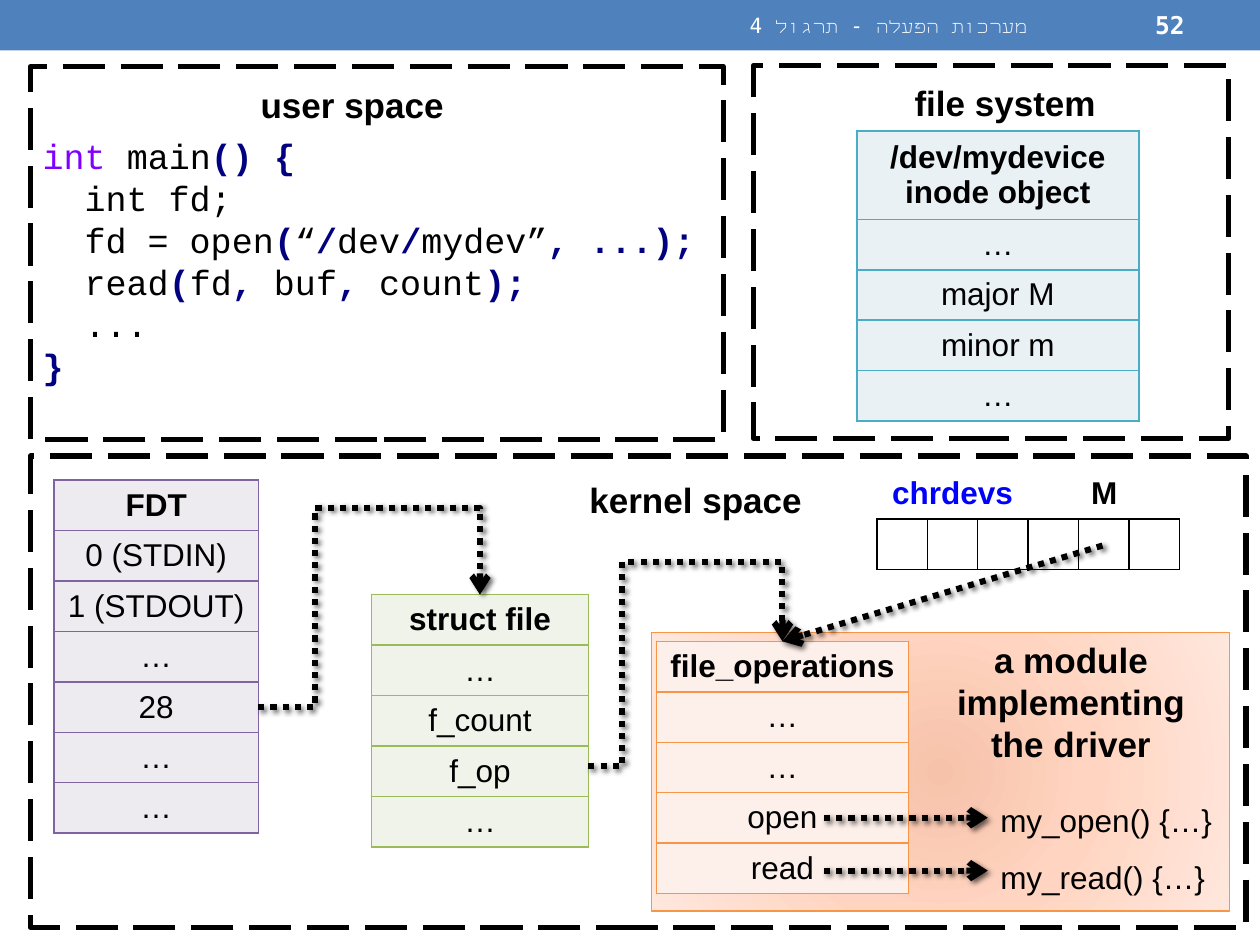
from dataclasses import dataclass

from lxml import etree
from pptx import Presentation, util as u
from pptx.dml.color import RGBColor
from pptx.enum import dml, shapes, text
from pptx.oxml import parse_xml
from pptx.oxml.ns import nsdecls, qn


@dataclass(frozen=True)
class Theme:
    sans: str = "Arial"
    code: str = "Courier New"
    header: str = "DejaVu Sans Mono"
    black: str = "000000"
    white: str = "FFFFFF"
    blue: str = "0000FF"
    bar: str = "4F81BD"
    keyword: str = "8000FF"
    symbol: str = "000080"
    # (border, fill) of each table
    purple: tuple = ("8064A2", "EDEAF0")
    green: tuple = ("9BBB59", "EFF3EA")
    orange: tuple = ("F79646", "FDEFE9")
    aqua: tuple = ("4BACC6", "E9F1F5")
    glow: tuple = ((0, "F6C2AA"), (45, "FFD4C0"), (100, "FFE7DD"))
    title: int = 20
    body: int = 18
    number: int = 14
    small: int = 12


THEME = Theme()
COLUMNS, ROWS = 100, 75
ROW = 4  # height of a table row in grid rows
LEFT, CENTER, RIGHT = text.PP_ALIGN.LEFT, text.PP_ALIGN.CENTER, text.PP_ALIGN.RIGHT
MIDDLE, TOP = text.MSO_ANCHOR.MIDDLE, text.MSO_ANCHOR.TOP


class Board:
    """Draws on one slide; lengths are columns and rows of the grid."""

    def __init__(self, deck, theme):
        self.theme = theme
        self.page = deck.slides.add_slide(deck.slide_layouts[6])
        self.column = deck.slide_width / COLUMNS
        self.row = deck.slide_height / ROWS

    def place(self, *lengths):
        units = (self.column, self.row) * 2
        return [u.Emu(round(n * unit)) for n, unit in zip(lengths, units)]

    def span(self, para, words, size=None, color=None, bold=False, font=None):
        span = para.add_run()
        span.text = words
        span.font.size = u.Pt(size or self.theme.body)
        span.font.bold = bold
        span.font.name = font or self.theme.sans
        span.font.color.rgb = RGBColor.from_string(color or self.theme.black)
        return span

    def rect(self, *area, fill=None, line=None, width=1, dash=None):
        box = self.page.shapes.add_shape(shapes.MSO_SHAPE.RECTANGLE, *self.place(*area))
        box.shadow.inherit = False
        if fill:
            box.fill.solid()
            box.fill.fore_color.rgb = RGBColor.from_string(fill)
        else:
            box.fill.background()
        if line:
            box.line.color.rgb = RGBColor.from_string(line)
            box.line.width = u.Pt(width)
            box.line.dash_style = dash
        else:
            box.line.fill.background()
        return box

    def region(self, *area):
        self.rect(*area, line=self.theme.black, width=3, dash=dml.MSO_LINE.LONG_DASH)

    def glow_panel(self, *area):
        box = self.rect(*area, line=self.theme.orange[0], width=0.75)
        stops = "".join(f'<a:gs pos="{at * 1000}"><a:srgbClr val="{color}"/></a:gs>'
                        for at, color in self.theme.glow)
        gradient = parse_xml(
            f'<a:gradFill {nsdecls("a")} rotWithShape="1"><a:gsLst>{stops}</a:gsLst>'
            '<a:path path="circle"><a:fillToRect l="100000" t="100000" r="100000" b="100000"/>'
            '</a:path></a:gradFill>')
        props = box.fill._xPr
        props.replace(props.find(qn("a:noFill")), gradient)

    def text(self, area, lines, align=LEFT, anchor=TOP, wrap=True, spacing=None, **style):
        """Each line is a string or a list of (words, style) pairs."""
        box = self.page.shapes.add_textbox(*self.place(*area))
        frame = box.text_frame
        frame.word_wrap = wrap
        frame.vertical_anchor = anchor
        for index, line in enumerate(lines):
            para = frame.add_paragraph() if index else frame.paragraphs[0]
            para.alignment = align
            para.line_spacing = spacing
            for words, extra in [(line, {})] if isinstance(line, str) else line:
                self.span(para, words, **{**style, **extra})
        return box

    def title(self, area, words, **options):
        self.text(area, [words], size=self.theme.title, bold=True, **options)

    def header(self, area, words, **style):
        box = self.text(area, [words], RIGHT, MIDDLE, color=self.theme.white,
                        font=self.theme.header, **style)
        para = box.text_frame.paragraphs[0]
        para._p.get_or_add_pPr().set("rtl", "1")
        props = para.runs[0].font._element
        etree.SubElement(props, qn("a:cs")).set("typeface", self.theme.header)

    def borders(self, cell, color, sides="LRTB"):
        props = cell._tc.get_or_add_tcPr()
        for index, side in enumerate("LRTB"):
            paint = (f'<a:solidFill><a:srgbClr val="{color}"/></a:solidFill>'
                     if side in sides else "<a:noFill/>")
            props.insert(index, parse_xml(
                f'<a:ln{side} {nsdecls("a")} w="12700">{paint}</a:ln{side}>'))

    def grid(self, left, top, widths, heights):
        frame = self.page.shapes.add_table(
            len(heights), len(widths), *self.place(left, top, sum(widths), sum(heights)))
        table = frame.table
        table.first_row = table.horz_banding = False
        for column, width in zip(table.columns, widths):
            column.width = u.Emu(round(width * self.column))
        for row, height in zip(table.rows, heights):
            row.height = u.Emu(round(height * self.row))
        return frame

    def cell_text(self, cell, words, **style):
        cell.vertical_anchor = MIDDLE
        for index, line in enumerate(words.split("\n")):
            frame = cell.text_frame
            para = frame.add_paragraph() if index else frame.paragraphs[0]
            para.alignment = CENTER
            self.span(para, line, **style)

    def record(self, left, top, width, palette, entries, head=ROW):
        """One-column table whose first entry is its bold heading."""
        heights = [head] + [ROW] * (len(entries) - 1)
        frame = self.grid(left, top, [width], heights)
        for index, words in enumerate(entries):
            cell = frame.table.cell(index, 0)
            cell.fill.solid()
            cell.fill.fore_color.rgb = RGBColor.from_string(palette[1])
            self.borders(cell, palette[0])
            self.cell_text(cell, words, bold=index == 0)
        return frame

    def array(self, left, top, count, labels):
        """Row of empty boxes under labels given as {column: (words, columns, color)}."""
        frame = self.grid(left, top, [ROW] * count, [ROW] * 2)
        table = frame.table
        for column in range(count):
            for row, sides in enumerate(("B", "LRTB")):
                table.cell(row, column).fill.background()
                self.borders(table.cell(row, column), self.theme.black, sides)
        for column, (words, columns, color) in labels.items():
            cell = table.cell(0, column)
            if columns > 1:
                cell.merge(table.cell(0, column + columns - 1))
            self.cell_text(cell, words, bold=True, color=color)

    def arrow(self, start, end, target=None, bend=None):
        """Dotted arrow; bend is the (column, row) of its first upper corner."""
        kind = shapes.MSO_CONNECTOR.ELBOW if bend else shapes.MSO_CONNECTOR.STRAIGHT
        line = self.page.shapes.add_connector(kind, *self.place(*start, *end))
        if target:
            line.end_connect(target, 0)
        line.line.color.rgb = RGBColor.from_string(self.theme.black)
        line.line.width = u.Pt(3.5)
        line.line.dash_style = dml.MSO_LINE.ROUND_DOT
        props = line._element.spPr
        etree.SubElement(props.find(qn("a:ln")), qn("a:tailEnd")).set("type", "arrow")
        props.append(parse_xml(
            f'<a:effectLst {nsdecls("a")}><a:outerShdw blurRad="38100" dist="25400" dir="2700000">'
            '<a:srgbClr val="000000"><a:alpha val="60000"/></a:srgbClr></a:outerShdw></a:effectLst>'))
        if bend:
            shape = props.find(qn("a:prstGeom"))
            shape.set("prst", "bentConnector4")
            guides = shape.find(qn("a:avLst"))
            for axis in (0, 1):
                share = (bend[axis] - start[axis]) / (end[axis] - start[axis])
                guide = etree.SubElement(guides, qn("a:gd"))
                guide.set("name", f"adj{axis + 1}")
                guide.set("fmla", f"val {round(share * 100000)}")


def main():
    deck = Presentation()
    deck.slide_width, deck.slide_height = u.Inches(10), u.Inches(7.5)
    board = Board(deck, THEME)

    board.rect(0, 0, COLUMNS, 4, fill=THEME.bar)
    board.header((37.5, 0.2, 45, 3.6), "מערכות הפעלה - תרגול 4", size=THEME.small)
    board.header((83.3, 0.2, 11.7, 3.6), "52", size=THEME.number, bold=True)

    plain, symbol = {}, {"color": THEME.symbol, "bold": True}
    code = board.text((2.4, 10.2, 55, 21.2), [
        [("int", {"color": THEME.keyword}), (" main", plain), ("() {", symbol)],
        "int fd;",
        [("fd = open", plain), ("(", symbol), ("“", plain), ("/", symbol), ("dev", plain),
         ("/", symbol), ("mydev”", plain), (", ...);", symbol)],
        [("read", plain), ("(", symbol), ("fd", plain), (", ", symbol), ("buf", plain),
         (", ", symbol), ("count", plain), (");", symbol)],
        "...",
        [("}", symbol)],
    ], size=THEME.title, font=THEME.code)
    for para in code.text_frame.paragraphs[1:-1]:
        para._p.get_or_add_pPr().set("marL", str(u.Pt(24)))
    board.title((19.7, 6.1, 16.7, 4.4), "user space", wrap=False)
    board.region(2.4, 5.3, 55, 29.6)

    board.record(4.3, 38.1, 16.2, THEME.purple,
                 ["FDT", "0 (STDIN)", "1 (STDOUT)", "…", "28", "…", "…"])
    board.region(2.4, 36.2, 96.5, 37.4)
    board.title((45.8, 37.5, 19, 4.4), "kernel space", wrap=False)
    file_table = board.record(29.5, 47.2, 17.2, THEME.green,
                              ["struct file", "…", "f_count", "f_op", "…"])
    board.array(69.6, 37.2, 6, {0: ("chrdevs", 3, THEME.blue), 4: ("M", 1, THEME.black)})

    board.glow_panel(51.7, 50.2, 45.9, 22.1)
    board.text((78.4, 61.6, 19.2, 9.5), ["my_open() {…}", "my_read() {…}"], spacing=1.5)
    operations = board.record(52.1, 50.9, 20, THEME.orange,
                              ["file_operations", "…", "…", "open", "read"])
    board.title((73.8, 50.2, 22.4, 11.1), "a module implementing the driver", align=CENTER)

    for row in (64.9, 69.1):
        board.arrow((65.4, row), (78.4, row))
    board.arrow((20.5, 56.1), (38.1, 47.2), bend=(25, 40.3))
    board.arrow((87.5, 43.3), (62.1, 50.9), target=operations)

    board.region(59.8, 5.2, 37.7, 29.6)
    board.title((71.6, 6, 16.5, 4.4), "file system", wrap=False)
    board.record(68, 10.4, 22.4, THEME.aqua,
                 ["/dev/mydevice\ninode object", "…", "major M", "minor m", "…"], head=7)
    board.arrow((46.7, 60.8), (62.1, 50.9), bend=(49.4, 44.6))

    deck.save("out.pptx")


if __name__ == "__main__":
    main()
